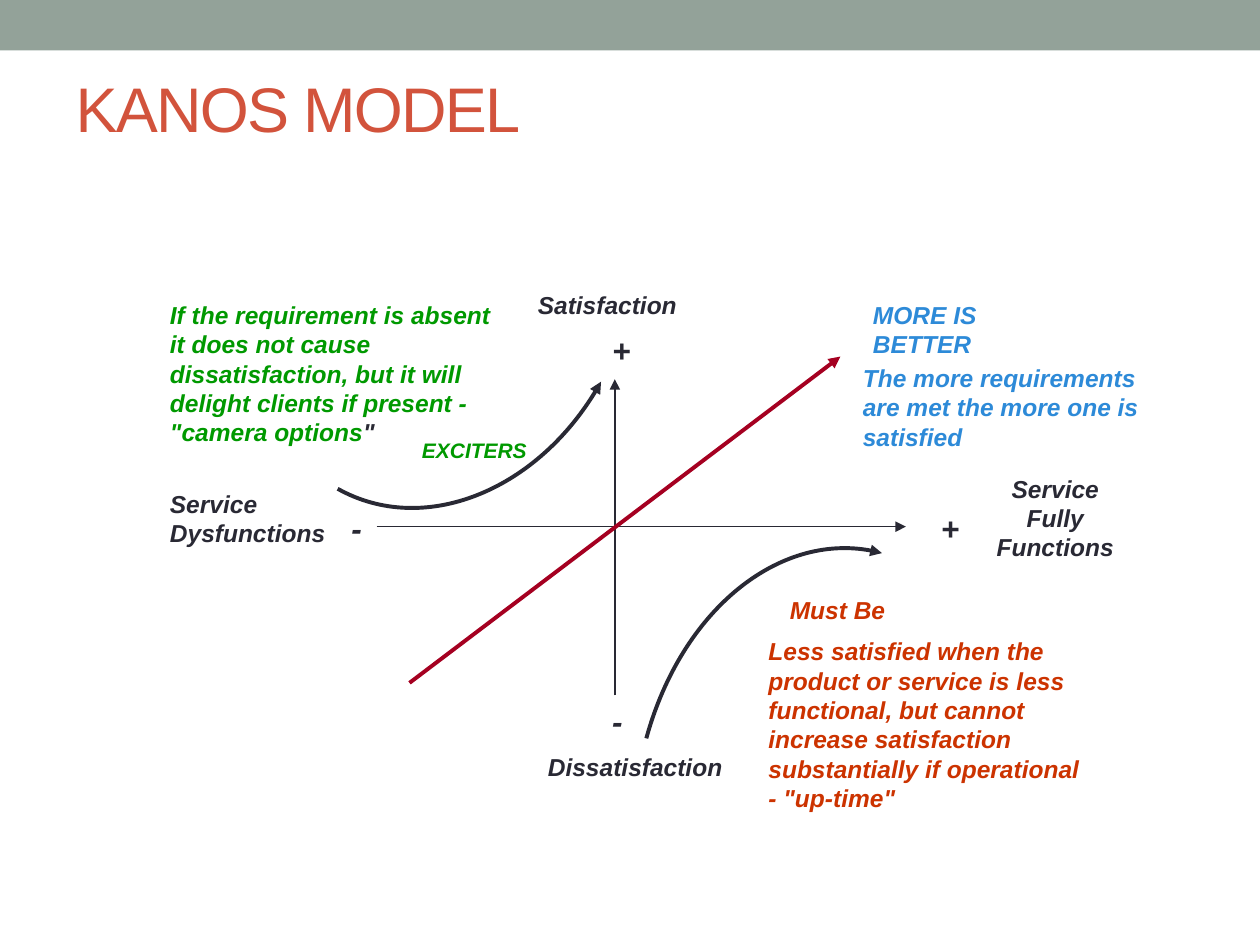
"""Build a slide that explains the Kano model of customer satisfaction."""
from lxml.etree import SubElement
from pptx import Presentation
from pptx.dml.color import RGBColor
from pptx.enum.shapes import MSO_CONNECTOR as Connector, MSO_SHAPE as Shape
from pptx.enum.text import MSO_ANCHOR as Anchor, MSO_AUTO_SIZE as Fit, PP_ALIGN as Align
from pptx.oxml.ns import qn
from pptx.util import Pt

PX = 9144
COLORS = {
    "band": "93A299",
    "title": "D2533C",
    "ink": "292934",
    "exciter": "009900",
    "better": "2D8AD8",
    "must": "CC3300",
    "diagonal": "A50021",
}
LABEL = {"name": "Arial", "bold": True, "italic": True}
HEADING = {"name": "Arial", "size": Pt(36), "bold": False}
SIGNS = [("+", 476, 258), ("+", 737, 399), ("-", 269, 399), ("-", 476, 552)]
LABELS = [
    ("Satisfaction", (417, 225, 167, 33), "ink"),
    ("Dissatisfaction", (425, 592, 167, 33), "ink"),
    ("Service Dysfunctions", (125, 383, 175, 57), "ink"),
    ("The more requirements are met the more one is satisfied", (675, 283, 250, 80), "better"),
    ("MORE IS BETTER", (683, 233, 175, 57), "better"),
    ("Less satisfied when the product or service is less functional, but cannot "
     "increase satisfaction substantially if operational - \"up-time\"",
     (600, 500, 275, 150), "must"),
    ("Must Be", (617, 467, 233, 33), "must"),
]
ARROWS = [
    ((488, 552), (488, 301), "ink", 0.75),
    ((299, 418), (719, 418), "ink", 0.75),
    ((325, 542), (667, 283), "diagonal", 2.25),
]
CURVES = [
    [(268, 388), (336, 426), (430, 388), (477, 303)],
    [(513, 586), (541, 484), (624, 418), (700, 439)],
]


def apply(target, values):
    for name, value in values.items():
        setattr(target, name, value)


def color(name):
    return RGBColor.from_string(COLORS[name])


class Painter:
    def __init__(self, page):
        self.page = page
        self.shapes = page.shapes

    def place(self, shape, area):
        apply(shape, dict(zip(("left", "top", "width", "height"), (v * PX for v in area))))

    def add_span(self, para, text, tint, style):
        span = para.add_run()
        span.text = text
        apply(span.font, style)
        span.font.color.rgb = color(tint)
        return span

    def band(self, area):
        box = self.shapes.add_shape(Shape.RECTANGLE, *(v * PX for v in area))
        box.shadow.inherit = False
        box.fill.solid()
        box.fill.fore_color.rgb = color("band")
        box.line.fill.background()

    def title(self, text, area):
        box = self.shapes.title
        self.place(box, area)
        apply(box.text_frame, {"vertical_anchor": Anchor.TOP, "margin_top": 0,
                               "auto_size": Fit.NONE, "word_wrap": True})
        para = box.text_frame.paragraphs[0]
        para.alignment = Align.LEFT
        span = self.add_span(para, text, "title", HEADING)
        span.font._element.set("spc", "-100")

    def label(self, text, area, tint="ink", size=14, align=Align.LEFT):
        box = self.shapes.add_textbox(*(v * PX for v in area))
        apply(box.text_frame, {"word_wrap": True, "auto_size": Fit.SHAPE_TO_FIT_TEXT})
        para = box.text_frame.paragraphs[0]
        para.alignment = align
        self.add_span(para, text, tint, {**LABEL, "size": Pt(size)})
        return para

    def stroke(self, shape, tint, width):
        shape.line.color.rgb = color(tint)
        shape.line.width = Pt(width)
        SubElement(shape.line._get_or_add_ln(), qn("a:tailEnd"), type="triangle")

    def arrow(self, start, end, tint, width):
        line = self.shapes.add_connector(
            Connector.STRAIGHT, *(v * PX for v in (*start, *end)))
        self.stroke(line, tint, width)
        SubElement(line._element.spPr, qn("a:effectLst"))

    def curve(self, points):
        start, *rest = [(x * PX, y * PX) for x, y in points]
        builder = self.shapes.build_freeform(*start)
        builder.add_line_segments(rest, close=False)
        shape = builder.convert_to_shape()
        shape.shadow.inherit = False
        shape.fill.background()
        self.stroke(shape, "ink", 2.25)
        outline = next(shape._element.iter(qn("a:path")))
        bezier = SubElement(outline, qn("a:cubicBezTo"))
        for segment in outline.findall(qn("a:lnTo")):
            bezier.append(segment[0])
            outline.remove(segment)


def main():
    deck = Presentation()
    apply(deck, {"slide_width": 1000 * PX, "slide_height": 750 * PX})
    painter = Painter(deck.slides.add_slide(deck.slide_layouts[5]))
    painter.band((0, 0, 1000, 40))
    painter.title("KANOS MODEL", (50, 55, 900, 108))
    for arrow in ARROWS:
        painter.arrow(*arrow)
    for points in CURVES:
        painter.curve(points)
    for sign, left, top in SIGNS:
        painter.label(sign, (left, top, 36, 40), size=18)
    for text, area, tint in LABELS:
        painter.label(text, area, tint)
    painter.label("Service Fully Functions", (775, 371, 125, 80), align=Align.CENTER)
    painter.label("EXCITERS", (325, 342, 175, 30), "exciter", 12)
    para = painter.label(
        "If the requirement is absent it does not cause dissatisfaction, but it will "
        "delight clients if present - \"camera options", (125, 233, 275, 126), "exciter")
    painter.add_span(para, "\"", "ink", {**LABEL, "size": Pt(14)})
    deck.save("out.pptx")


if __name__ == "__main__":
    main()
